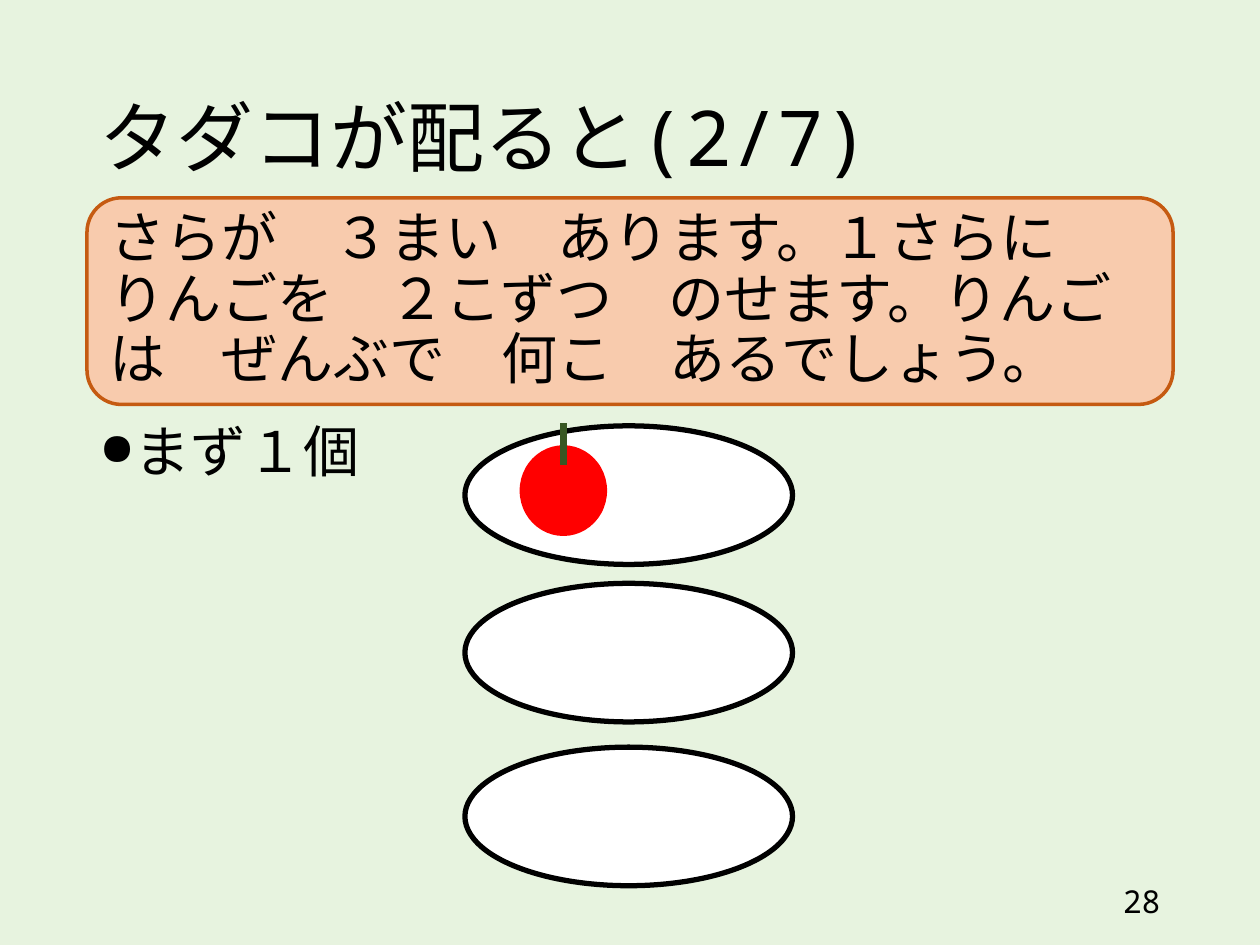
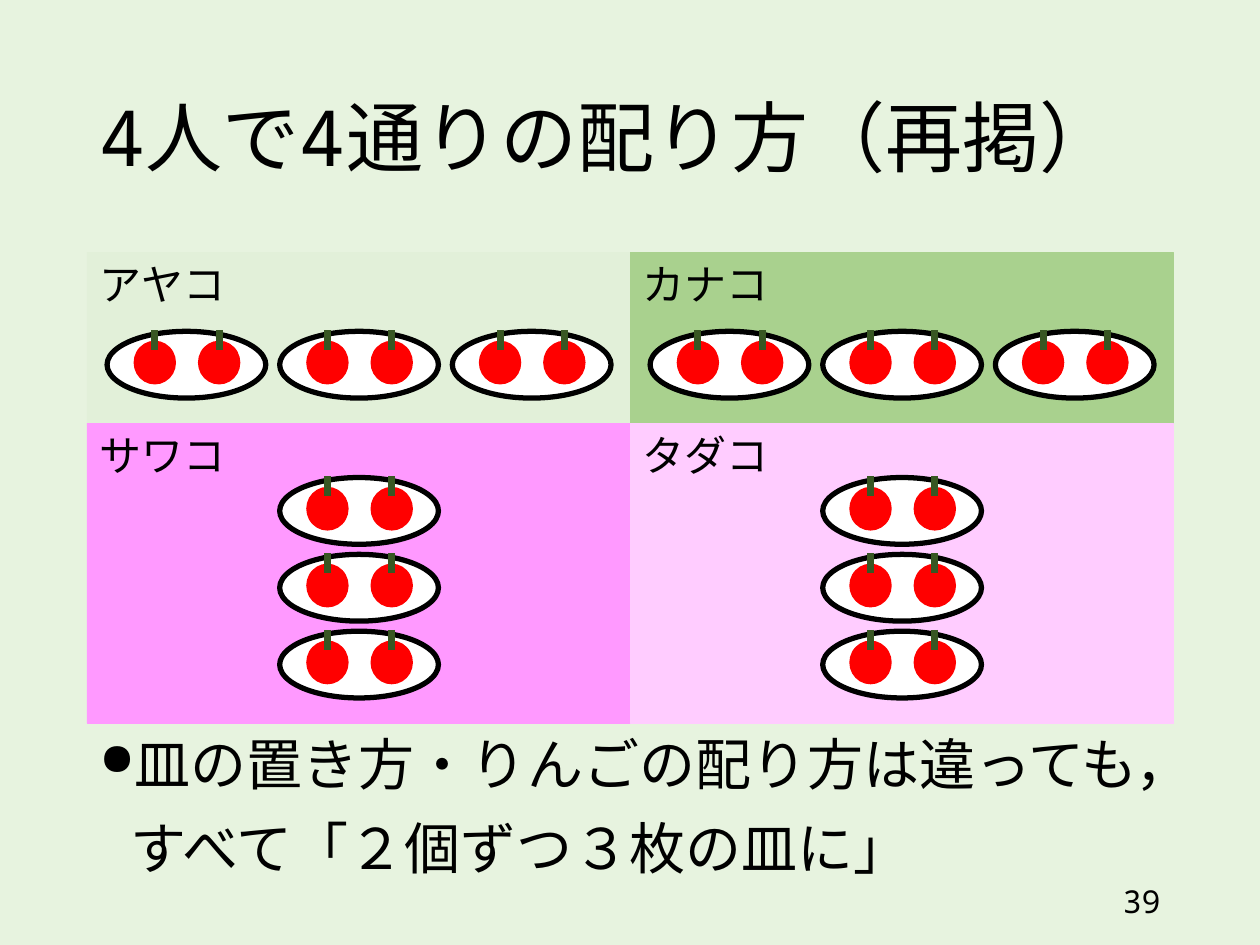
from dataclasses import dataclass

from lxml import etree
from pptx import Presentation, util as u
from pptx.dml.color import RGBColor
from pptx.enum import lang, shapes as sh, text as tx
from pptx.oxml import ns


@dataclass(frozen=True)
class Theme:
    back: str = "E7F3DF"
    ink: str = "000000"
    dish: str = "FFFFFF"
    apple: str = "FF0000"
    stem: str = "385723"
    box: str = "F8CBAD"
    edge: str = "C55A11"
    mono: str = "Noto Sans Mono"
    wide: str = "Noto Sans CJK JP"
    title: int = 44
    body: int = 32
    label: int = 24
    page: int = 18


@dataclass(frozen=True)
class Panel:
    name: str
    left: float
    top: float
    high: float
    fill: str
    stack: bool


T = Theme()
LEFT, WIDE = 0.69, 8.62
HALF = WIDE / 2

PANELS = [
    Panel("アヤコ", LEFT, 2, 1.38, "E2F0D9", False),
    Panel("カナコ", LEFT + HALF, 2, 1.38, "A9D18E", False),
    Panel("サワコ", LEFT, 3.36, 2.38, "FF99FF", True),
    Panel("タダコ", LEFT + HALF, 3.36, 2.38, "FFCCFF", True),
]


# Text and shape helpers
def color(code: str) -> RGBColor:
    return RGBColor.from_string(code)


def area(*sides: float) -> list:
    return [u.Inches(side) for side in sides]


def write(frame, parts, *, size, lead=None, align=tx.PP_ALIGN.LEFT,
          anchor=tx.MSO_ANCHOR.TOP, wrap=True, bullet=False) -> None:
    """Fill a frame; parts is a string or a list of (text, font) pairs."""
    frame.auto_size = tx.MSO_AUTO_SIZE.NONE
    frame.word_wrap = wrap
    frame.vertical_anchor = anchor
    para = frame.paragraphs[0]
    para.alignment = align
    if lead:
        para.line_spacing = lead
    if bullet:
        props = para._p.get_or_add_pPr()
        props.set("marL", str(u.Inches(0.25)))
        props.set("indent", str(u.Inches(-0.25)))
        etree.SubElement(props, ns.qn("a:buSzPct"), val="80000")
        etree.SubElement(props, ns.qn("a:buChar"), char="●")
    if isinstance(parts, str):
        parts = [(parts, T.mono)]
    for words, face in parts:
        for row, line in enumerate(words.split("\n")):
            if row:
                para.add_line_break()
            run = para.add_run()
            run.text = line
            font = run.font
            font.size = u.Pt(size)
            font.color.rgb = color(T.ink)
            font.name = face
            font.language_id = lang.MSO_LANGUAGE_ID.JAPANESE
            etree.SubElement(font._element, ns.qn("a:ea"), typeface=face)


def label(slide, parts, sides, **form) -> None:
    write(slide.shapes.add_textbox(*area(*sides)).text_frame, parts, **form)


def shape(items, kind, sides, fill: str, edge: str = "", width: float = 0):
    item = items.add_shape(kind, *area(*sides))
    item.shadow.inherit = False
    item.fill.solid()
    item.fill.fore_color.rgb = color(fill)
    if edge:
        item.line.color.rgb = color(edge)
        item.line.width = u.Pt(width)
    else:
        item.line.fill.background()
    return item


def plate(slide, left: float, top: float, wide: float, high: float,
          count: int) -> None:
    """Draw a dish with up to two apples, placed in proportion to the dish."""
    items = slide.shapes.add_group_shape().shapes
    oval = sh.MSO_SHAPE.OVAL
    shape(items, oval, (left, top, wide, high), T.dish, T.ink, 3)
    across = 0.267 * wide
    for num in range(count):
        x = left + (0.167 + 0.405 * num) * wide
        shape(items, oval, (x, top + 0.14 * high, across, 0.655 * high), T.apple)
        mid = x + across / 2
        stem = items.add_connector(
            sh.MSO_CONNECTOR.STRAIGHT,
            *area(mid, top - 0.02 * high, mid, top + 0.28 * high))
        stem.line.color.rgb = color(T.stem)
        stem.line.width = u.Pt(4)
        etree.SubElement(stem._element.spPr, ns.qn("a:effectLst"))


def start(deck, title: str, page: int):
    """Add a slide with its title and page number."""
    slide = deck.slides.add_slide(deck.slide_layouts[5])
    head = slide.shapes.title
    head.left, head.top, head.width, head.height = area(LEFT, 0.4, WIDE, 1.45)
    write(head.text_frame, title, size=T.title, lead=0.9,
          anchor=tx.MSO_ANCHOR.MIDDLE)
    label(slide, str(page), (7.06, 6.95, 2.25, 0.4), size=T.page,
          align=tx.PP_ALIGN.RIGHT, anchor=tx.MSO_ANCHOR.MIDDLE)
    return slide


# Slides
def deal(deck) -> None:
    slide = start(deck, "タダコが配ると(2/7)", 28)
    for top, count in ((3.38, 1), (4.63, 0), (5.93, 0)):
        plate(slide, 3.69, top, 2.6, 1.1, count)
    label(slide, [("まず", T.mono), ("１", T.wide), ("個", T.mono)],
          (LEFT, 3.32, WIDE, 3.43), size=T.body, lead=0.9, bullet=True)
    box = shape(slide.shapes, sh.MSO_SHAPE.ROUNDED_RECTANGLE,
                (LEFT, 1.57, WIDE, 1.64), T.box, T.edge, 2)
    task = ("さらが　３まい　あります。１さらに　りんごを　２こずつ　のせます。"
            "りんごは　ぜんぶで　何こ　あるでしょう。")
    write(box.text_frame, [(task, T.wide)], size=T.body, lead=0.9,
          anchor=tx.MSO_ANCHOR.MIDDLE)


def review(deck) -> None:
    slide = start(deck, "4人で4通りの配り方（再掲）", 39)
    label(slide,
          [("皿の置き方・りんごの配り方は違っても，\nすべて「", T.mono),
           ("２", T.wide), ("個ずつ", T.mono),
           ("３", T.wide), ("枚の皿に」", T.mono)],
          (LEFT, 5.84, WIDE, 1.02), size=T.body, lead=0.8, bullet=True)
    for panel in PANELS:
        shape(slide.shapes, sh.MSO_SHAPE.RECTANGLE,
              (panel.left, panel.top, HALF, panel.high),
              panel.fill, panel.fill, 0.5)
        label(slide, panel.name, (panel.left, panel.top, 1.21, 0.5),
              size=T.label, wrap=False)
        for num in range(3):
            if panel.stack:
                x, y = 1.53, 0.43 + 0.61 * num
            else:
                x, y = 0.16 + 1.37 * num, 0.63
            plate(slide, panel.left + x, panel.top + y, 1.26, 0.53, 2)


def main() -> None:
    deck = Presentation()
    deck.slide_width, deck.slide_height = area(10, 7.5)
    back = deck.slide_master.background.fill
    back.solid()
    back.fore_color.rgb = color(T.back)
    deal(deck)
    review(deck)
    deck.save("out.pptx")


if __name__ == "__main__":
    main()
